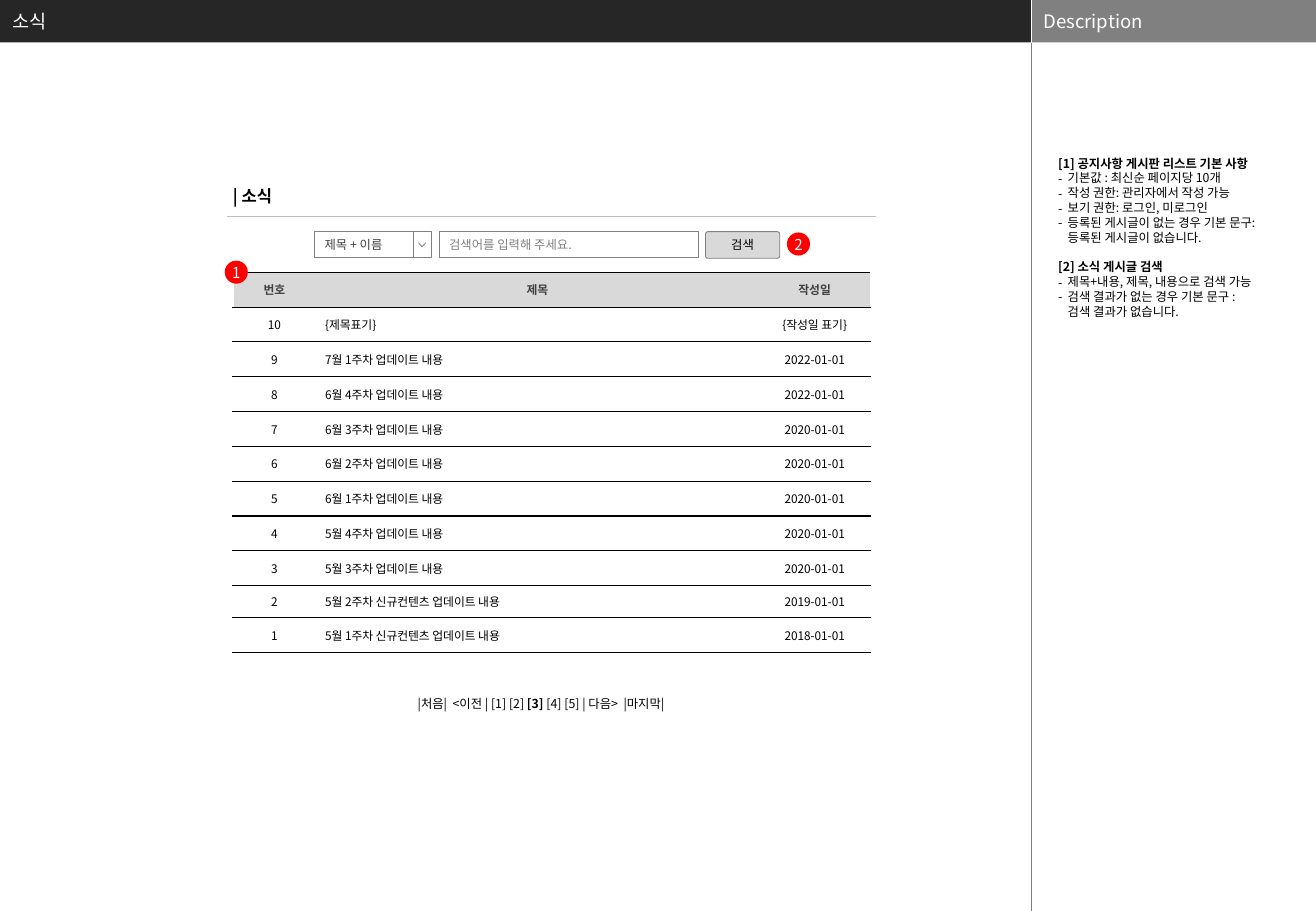
from pptx import Presentation
from pptx.dml.color import RGBColor
from pptx.enum.shapes import MSO_CONNECTOR, MSO_SHAPE
from pptx.enum.text import MSO_ANCHOR, MSO_AUTO_SIZE, PP_ALIGN
from pptx.oxml.ns import qn
from pptx.util import Pt
from lxml.etree import SubElement

FONT = "Noto Sans CJK KR"
BLACK, WHITE, GRAY, DARK, LIGHT = "000000", "FFFFFF", "808080", "404040", "D9D9D9"
DIVIDER_X, HEADER_HEIGHT = 611.3, 25.2
COLUMN_WIDTHS = [49, 262.8, 66]
ROW_HEIGHT, SHORT_ROW_HEIGHT = 20.64, 19.1

POSTS = [
    ("번호", "제목", "작성일"),
    ("10", "{제목표기}", "{작성일 표기}"),
    ("9", "7월 1주차 업데이트 내용", "2022-01-01"),
    ("8", "6월 4주차 업데이트 내용", "2022-01-01"),
    ("7", "6월 3주차 업데이트 내용", "2020-01-01"),
    ("6", "6월 2주차 업데이트 내용", "2020-01-01"),
    ("5", "6월 1주차 업데이트 내용", "2020-01-01"),
    ("4", "5월 4주차 업데이트 내용", "2020-01-01"),
    ("3", "5월 3주차 업데이트 내용", "2020-01-01"),
    ("2", "5월 2주차 신규컨텐츠 업데이트 내용", "2019-01-01"),
    ("1", "5월 1주차 신규컨텐츠 업데이트 내용", "2018-01-01"),
]
DESCRIPTION = [
    ("[1] 공지사항 게시판 리스트 기본 사항", [
        "기본값 : 최신순 페이지당 10개",
        "작성 권한: 관리자에서 작성 가능",
        "보기 권한: 로그인, 미로그인",
        "등록된 게시글이 없는 경우 기본 문구:\n등록된 게시글이 없습니다.",
    ]),
    ("[2] 소식 게시글 검색", [
        "제목+내용, 제목, 내용으로 검색 가능",
        "검색 결과가 없는 경우 기본 문구 :\n검색 결과가 없습니다.",
    ]),
]


def rgb(value):
    return RGBColor.from_string(value)


def write(paragraph, text, size=7.3, color=BLACK, bold=False, align=PP_ALIGN.LEFT):
    """Append text to a paragraph; a newline becomes a line break."""
    paragraph.alignment = align
    for number, line in enumerate(text.split("\n")):
        if number:
            paragraph.add_line_break()
        run = paragraph.add_run()
        run.text = line
        font = run.font
        font.name, font.size, font.bold = FONT, Pt(size), bold
        font.color.rgb = rgb(color)
        SubElement(font._element, qn("a:ea"), typeface=FONT)


def place(shape, x, y, width, height):
    shape.left, shape.top, shape.width, shape.height = Pt(x), Pt(y), Pt(width), Pt(height)


def set_frame(frame, anchor=MSO_ANCHOR.MIDDLE, side=7.2, edge=3.6, wrap=True):
    frame.auto_size = MSO_AUTO_SIZE.NONE
    frame.word_wrap = wrap
    frame.vertical_anchor = anchor
    frame.margin_left = frame.margin_right = Pt(side)
    frame.margin_top = frame.margin_bottom = Pt(edge)
    return frame.paragraphs[0]


def paint(shape, fill=None, line=None, line_width=0.5):
    shape.shadow.inherit = False
    if fill:
        shape.fill.solid()
        shape.fill.fore_color.rgb = rgb(fill)
    else:
        shape.fill.background()
    if line:
        shape.line.color.rgb = rgb(line)
        shape.line.width = Pt(line_width)
    else:
        shape.line.fill.background()


def add_box(shapes, x, y, width, height, text="", kind=MSO_SHAPE.RECTANGLE,
            fill=None, line=None, side=5.8, wrap=True, **text_format):
    box = shapes.add_shape(kind, Pt(x), Pt(y), Pt(width), Pt(height))
    paint(box, fill, line)
    if text:
        write(set_frame(box.text_frame, side=side, edge=0, wrap=wrap), text, **text_format)
    return box


def add_label(shapes, x, y, width, height, wrap=True):
    """Add an unfilled text box and return its first paragraph."""
    label = shapes.add_textbox(Pt(x), Pt(y), Pt(width), Pt(height))
    return set_frame(label.text_frame, MSO_ANCHOR.TOP, wrap=wrap)


def add_rule(shapes, x1, y1, x2, y2, color, width):
    rule = shapes.add_connector(MSO_CONNECTOR.STRAIGHT, Pt(x1), Pt(y1), Pt(x2), Pt(y2))
    rule.line.color.rgb = rgb(color)
    rule.line.width = Pt(width)
    SubElement(rule._element.spPr, qn("a:effectLst"))


def add_marker(shapes, x, y, number):
    add_box(shapes, x, y, 13.7, 13.7, number, kind=MSO_SHAPE.OVAL, fill="FF0000",
            side=0, wrap=False, size=8.9, color=WHITE, align=PP_ALIGN.CENTER)


def add_select(shapes, x, y, text):
    """Add a drop-down field with its arrow button."""
    select = shapes.add_group_shape().shapes
    add_box(select, x, y, 58.2, 15.5, text, line=GRAY, color=DARK)
    add_box(select, x + 58.2, y, 10.8, 15.5, fill=WHITE, line=GRAY)
    tip_x, tip_y = x + 63.6, y + 9
    arrow = select.build_freeform(Pt(tip_x + 2.2), Pt(tip_y - 2.4))
    arrow.add_line_segments([(Pt(tip_x), Pt(tip_y)), (Pt(tip_x - 2.2), Pt(tip_y - 2.4))],
                            close=False)
    paint(arrow.convert_to_shape(), WHITE, GRAY)


def set_borders(cell, **sides):
    """Set cell sides, each given as (colour, width) or None; order L, R, T, B."""
    properties = cell._tc.get_or_add_tcPr()
    for position, side in enumerate("LRTB"):
        color, width = sides[side] or (None, 0)
        border = SubElement(properties, qn(f"a:ln{side}"), w=str(Pt(width)))
        properties.insert(position, border)
        if color:
            SubElement(SubElement(border, qn("a:solidFill")), qn("a:srgbClr"), val=color)
        else:
            SubElement(border, qn("a:noFill"))


def add_post_table(shapes, x, y):
    heights = [ROW_HEIGHT] * len(POSTS)
    heights[-2] = SHORT_ROW_HEIGHT
    table = shapes.add_table(len(POSTS), len(COLUMN_WIDTHS), Pt(x), Pt(y),
                             Pt(sum(COLUMN_WIDTHS)), Pt(sum(heights))).table
    table.horz_banding = False
    for column, width in zip(table.columns, COLUMN_WIDTHS):
        column.width = Pt(width)
    outer, rule = (WHITE, 1), (BLACK, 0.75)
    for row, (post, height) in enumerate(zip(POSTS, heights)):
        table.rows[row].height = Pt(height)
        header = row == 0
        for column, text in enumerate(post):
            cell = table.cell(row, column)
            cell.vertical_anchor = MSO_ANCHOR.MIDDLE
            cell.margin_left = cell.margin_right = Pt(5.6)
            cell.margin_top = cell.margin_bottom = Pt(2.8)
            if header:
                cell.fill.solid()
                cell.fill.fore_color.rgb = rgb(LIGHT)
            else:
                cell.fill.background()
            set_borders(cell, L=outer if column == 0 else None,
                        R=outer if column == 2 else None, T=rule, B=rule)
            align = PP_ALIGN.LEFT if column == 1 and not header else PP_ALIGN.CENTER
            write(cell.text_frame.paragraphs[0], text, size=7, bold=header,
                  color=DARK if header else BLACK, align=align)


def set_bullet(paragraph, character=None, indent=5.6):
    properties = paragraph._p.get_or_add_pPr()
    indent = Pt(indent) if character else 0
    properties.set("marL", str(indent))
    properties.set("indent", str(-indent))
    if character:
        SubElement(properties, qn("a:buFont"), typeface=FONT)
        SubElement(properties, qn("a:buChar"), char=character)
    else:
        SubElement(properties, qn("a:buNone"))


def fill_description(body):
    place(body, 625, 92.3, 136.8, 409)
    paragraph = set_frame(body.text_frame, MSO_ANCHOR.TOP, side=2.2, edge=0)
    for section, (heading, items) in enumerate(DESCRIPTION):
        for position, text in enumerate([heading] + items):
            is_heading = position == 0
            if section or position:
                paragraph = body.text_frame.add_paragraph()
            paragraph.line_spacing = Pt(8.8)
            paragraph.space_before = Pt(8.8 if section and is_heading else 0)
            set_bullet(paragraph, None if is_heading else "-")
            write(paragraph, text, bold=is_heading)


def main():
    deck = Presentation()
    deck.slide_width, deck.slide_height = Pt(780), Pt(540)
    slide = deck.slides.add_slide(deck.slide_layouts[1])
    shapes = slide.shapes

    title = shapes.title
    place(title, 0, 0, DIVIDER_X, HEADER_HEIGHT)
    title.fill.solid()
    title.fill.fore_color.rgb = rgb("262626")
    write(set_frame(title.text_frame), "소식", size=11, color=WHITE)
    add_box(shapes, DIVIDER_X, 0, 780 - DIVIDER_X, HEADER_HEIGHT, "Description",
            fill=GRAY, side=7.2, size=11, color=WHITE)
    add_rule(shapes, DIVIDER_X, 0, DIVIDER_X, HEADER_HEIGHT, WHITE, 0.25)
    add_rule(shapes, DIVIDER_X, HEADER_HEIGHT, DIVIDER_X, 540, "7F7F7F", 0.25)
    fill_description(slide.placeholders[1])

    write(add_label(shapes, 131, 106.6, 91.4, 19.4), "| 소식", size=9.8, bold=True)
    add_rule(shapes, 134.6, 128.2, 519.1, 128.2, "BFBFBF", 0.75)

    add_select(shapes, 186.6, 137.3, "제목 + 이름")
    add_box(shapes, 260.4, 137.3, 153.9, 15.5, "검색어를 입력해 주세요.",
            line=GRAY, color=GRAY)
    search = add_box(shapes, 418.2, 137.3, 44, 15.8, "검색", kind=MSO_SHAPE.ROUNDED_RECTANGLE,
                     fill=LIGHT, line=GRAY, side=2.9, align=PP_ALIGN.CENTER)
    search.adjustments[0] = 0.09

    add_post_table(shapes, 138.1, 161.4)
    pages = add_label(shapes, 240.5, 409, 177.1, 15.8, wrap=False)
    write(pages, "|처음|  <이전 | [1] [2] ")
    write(pages, "[3]", bold=True)
    write(pages, " [4] [5] | 다음>  |마지막|")

    add_marker(shapes, 133.2, 154.5, "1")
    add_marker(shapes, 466.4, 137.8, "2")
    deck.save("out.pptx")


if __name__ == "__main__":
    main()
